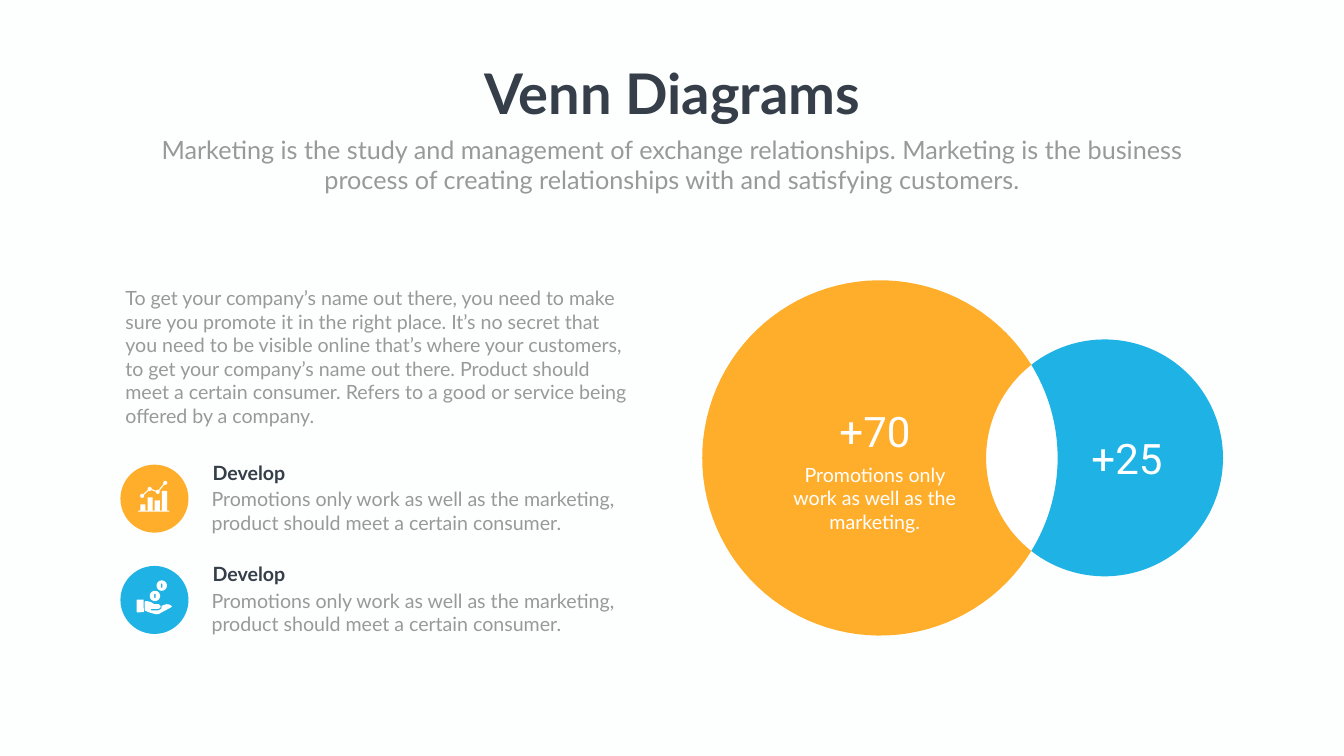
from dataclasses import dataclass
from math import acos, cos, pi, sin
from typing import NamedTuple

from pptx import Presentation
from pptx.dml.color import RGBColor
from pptx.enum.shapes import MSO_SHAPE
from pptx.enum.text import PP_ALIGN
from pptx.util import Inches, Pt


@dataclass(frozen=True)
class Theme:
    paper: str = "FDFFFE"
    white: str = "FFFFFF"
    dark: str = "353E49"
    gray: str = "989998"
    gold: str = "FFAE2B"
    blue: str = "1EB2E5"
    font: str = "Lato"
    digits: str = "Roboto"
    title: int = 80
    figure: int = 60
    lead: int = 36
    body: int = 28


class Box(NamedTuple):
    x: float
    y: float
    w: float
    h: float

    def inset(self, x, y, w, h):
        """Return an inner box given in percent of this one."""
        return Box(self.x + self.w * x / 100, self.y + self.h * y / 100,
                   self.w * w / 100, self.h * h / 100)

    def spot(self, x, y):
        """Return the point at x, y percent of this box."""
        return self.x + self.w * x / 100, self.y + self.h * y / 100


theme = Theme()


def paint(shape, color):
    shape.shadow.inherit = False
    shape.fill.solid()
    shape.fill.fore_color.rgb = RGBColor.from_string(color)
    shape.line.fill.background()
    return shape


def solid(shapes, kind, box, color):
    return paint(shapes.add_shape(kind, *map(Inches, box)), color)


def disc(shapes, center, radius, color):
    x, y = center
    box = Box(x - radius, y - radius, 2 * radius, 2 * radius)
    return solid(shapes, MSO_SHAPE.OVAL, box, color)


def outline(shapes, color, *loops, closed=True):
    """Draw one freeform from loops of points in inches."""
    loops = [[(Inches(x), Inches(y)) for x, y in loop] for loop in loops]
    pen = shapes.build_freeform(*loops[0][0])
    for i, loop in enumerate(loops):
        if i:
            pen.move_to(*loop[0])
        pen.add_line_segments(loop[1:], close=closed)
    return paint(pen.convert_to_shape(), color)


def arc(center, radius, start, end, steps=90):
    x, y = center
    turns = [start + (end - start) * i / steps for i in range(steps + 1)]
    return [(x + radius * cos(t), y + radius * sin(t)) for t in turns]


def write(shapes, box, text, size, color, font=theme.font, bold=False,
          align=PP_ALIGN.LEFT, wrap=True):
    frame = shapes.add_textbox(*map(Inches, box)).text_frame
    frame.word_wrap = wrap
    line = frame.paragraphs[0]
    line.text, line.alignment = text, align
    line.font.name, line.font.size, line.font.bold = font, Pt(size), bold
    line.font.color.rgb = RGBColor.from_string(color)


def header(shapes, box):
    write(shapes, box.inset(31.1, 0, 37.9, 51.8), "Venn Diagrams", theme.title,
          theme.dark, bold=True, align=PP_ALIGN.CENTER, wrap=False)
    write(shapes, box.inset(0, 53.2, 100, 46.8),
          "Marketing is the study and management of exchange relationships. "
          "Marketing is the business process of creating relationships with "
          "and satisfying customers.",
          theme.lead, theme.gray, align=PP_ALIGN.CENTER)


def venn(shapes, box):
    big, small = box.h / 2, box.h / 3
    left = (box.x + big, box.y + big)
    right = (box.x + box.w - small, box.y + big)
    gap = right[0] - left[0]
    a = acos((gap**2 + big**2 - small**2) / (2 * gap * big))
    b = acos((gap**2 + small**2 - big**2) / (2 * gap * small))
    inner = arc(right, small, pi - b, pi + b)
    bulge = arc(left, big, -a, a)
    outline(shapes, theme.white, bulge + inner)
    outline(shapes, theme.gold, arc(left, big, a, 2 * pi - a) + inner[::-1])
    outline(shapes, theme.blue,
            arc(right, small, b - pi, pi - b) + bulge[::-1])

    for text, area in (("+25", (70.47, 42.13, 22.17, 15.74)),
                       ("+70", (20.14, 34.61, 26.04, 15.74))):
        write(shapes, box.inset(*area), text, theme.figure, theme.white,
              theme.digits, align=PP_ALIGN.CENTER)
    write(shapes, box.inset(16.07, 50.64, 34.08, 21.42),
          "Promotions only work as well as the marketing.",
          theme.body, theme.white, align=PP_ALIGN.CENTER)


def chart_icon(shapes, box):
    skyline = [(26, 69), (26, 67.5)]
    for x, top in ((29.3, 58.5), (40, 48.1), (50.4, 52.6), (61.1, 38.5)):
        skyline += [(x, 67.5), (x, top), (x + 7.4, top), (x + 7.4, 67.5)]
    skyline += [(72, 67.5), (72, 69)]
    outline(shapes, theme.white, [box.spot(*p) for p in skyline])

    dots = [box.spot(*p) for p in
            ((31.9, 45.9), (43, 35.6), (54.8, 40), (65.9, 26.7))]
    trend = outline(shapes, theme.white, dots, closed=False)
    trend.fill.background()
    trend.line.color.rgb = RGBColor.from_string(theme.white)
    trend.line.width = Pt(1.5)
    for dot in dots:
        disc(shapes, dot, box.w * 0.03, theme.white)


def hand_icon(shapes, box):
    solid(shapes, MSO_SHAPE.ROUNDED_RECTANGLE,
          box.inset(23.7, 49.6, 10.6, 18.5), theme.white).adjustments[0] = 0.07
    palm = ((74.8, 58.5), (71.5, 56.5), (67.4, 56.3), (60.7, 58.5),
            (60, 63), (56.3, 65.2), (45.2, 65.2), (44.4, 64), (45.2, 63),
            (56.3, 63), (58.5, 61.5), (59.3, 59.3), (56.3, 56.3),
            (49.6, 56.3), (48.9, 55.6), (44.4, 53), (40, 51.9), (37, 51.9),
            (35.6, 52.6), (35.6, 65.2), (36.3, 66), (44.4, 69),
            (52.6, 71.1), (57, 70.4), (62.2, 67.4), (74.8, 60.7), (75.6, 59.3))
    outline(shapes, theme.white, [box.spot(*p) for p in palm])
    for x, y in ((60.7, 28.9), (50.7, 44.1)):
        slot = [box.spot(x + dx, y + dy) for dx, dy in
                ((-1.1, -3), (1.1, -3), (1.1, 3), (-1.1, 3))]
        rim = arc(box.spot(x, y), box.w * 0.076, 0, 2 * pi, 40)
        outline(shapes, theme.white, rim, slot)


def item(shapes, box, color, icon):
    badge = box.inset(0, 8.23, 13.17, 85.44)
    solid(shapes, MSO_SHAPE.OVAL, badge, color)
    icon(shapes, badge)
    write(shapes, box.inset(16.88, 0, 21.46, 36.08), "Develop",
          theme.body, theme.dark, bold=True)
    write(shapes, box.inset(16.68, 33.54, 83.32, 65.82),
          "Promotions only work as well as the marketing, "
          "product should meet a certain consumer.", theme.body, theme.gray)


def story(shapes, box):
    write(shapes, box.inset(0, 0, 99.7, 41.6),
          "To get your company’s name out there, you need to make sure you "
          "promote it in the right place. It’s no secret that you need to be "
          "visible online that’s where your customers, to get your company’s "
          "name out there. Product should meet a certain consumer. Refers to "
          "a good or service being offered by a company.",
          theme.body, theme.gray)
    rows = ((theme.gold, chart_icon), (theme.blue, hand_icon))
    for i, (color, icon) in enumerate(rows):
        item(shapes, box.inset(0, 49.15 + 28.55 * i, 100, 22.44), color, icon)


def main():
    deck = Presentation()
    page = Box(0, 0, 26.66, 15)
    deck.slide_width, deck.slide_height = Inches(page.w), Inches(page.h)
    slide = deck.slides.add_slide(deck.slide_layouts[6])
    slide.background.fill.solid()
    slide.background.fill.fore_color.rgb = RGBColor.from_string(theme.paper)
    venn(slide.shapes, page.inset(52.25, 37.07, 38.75, 47))
    story(slide.shapes, page.inset(8.96, 37.53, 38.45, 46.93))
    header(slide.shapes, page.inset(10.95, 7.47, 78.09, 18.67))
    deck.save("out.pptx")


if __name__ == "__main__":
    main()
